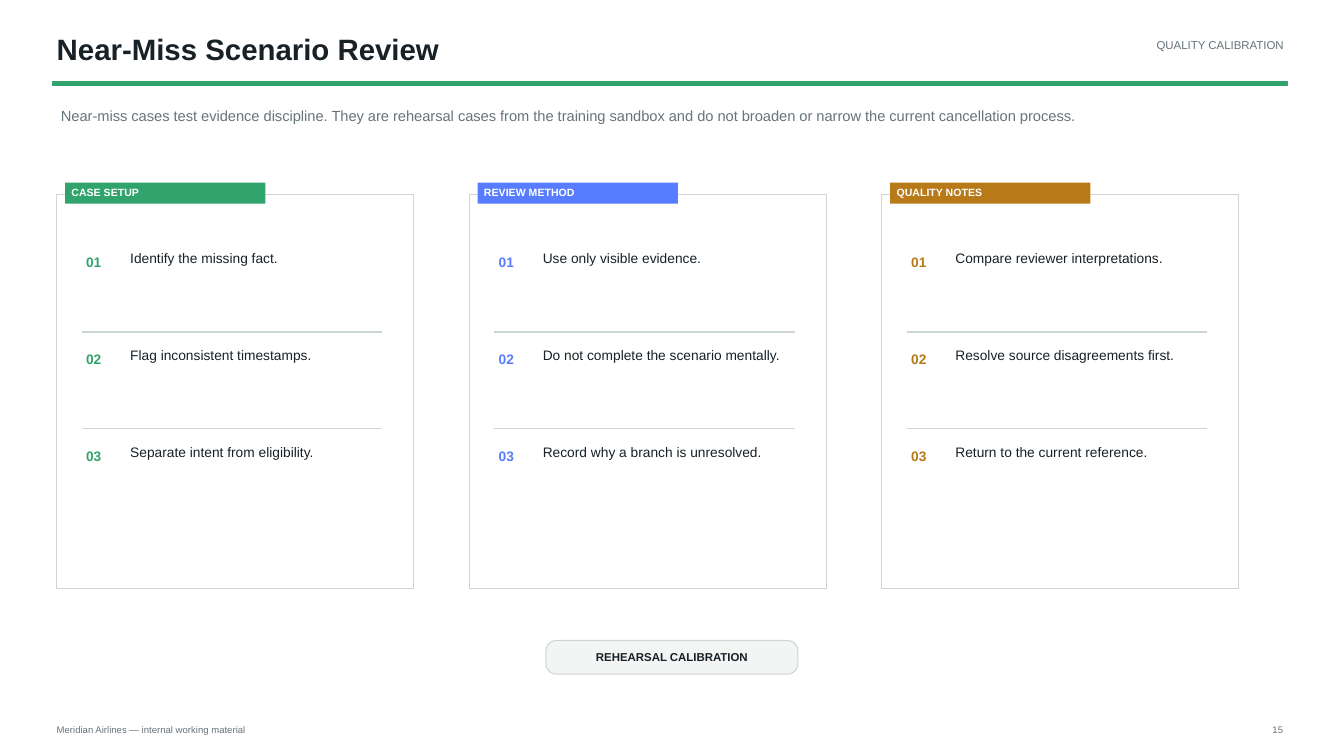
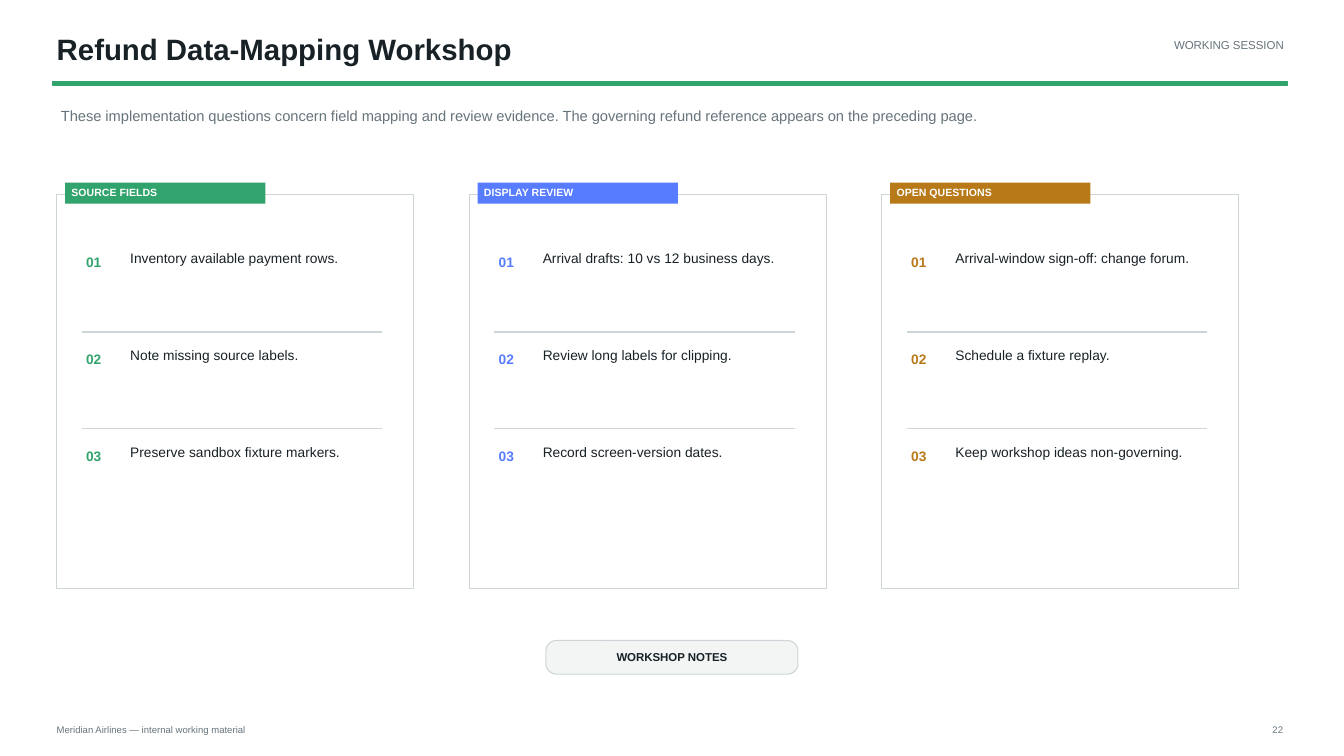
import pptx
import pptx.util
import pptx.dml.color
import pptx.enum.shapes
import pptx.enum.text
import pptx.oxml.ns
import lxml.etree

Pt = pptx.util.Pt
KINDS = pptx.enum.shapes.MSO_SHAPE
ALIGN = pptx.enum.text.PP_ALIGN
ANCHOR = pptx.enum.text.MSO_ANCHOR

FONT = "Arial"
INK, GREY, RULE, PALE, WHITE = "172126", "66747B", "CDD5D8", "F3F5F5", "FFFFFF"
GREEN, BLUE, OCHRE = "31A36C", "577CFF", "B87918"
FOOTER = "Meridian Airlines — internal working material"

EDGE = 37.5
CARD_X, CARD_Y, CARD_W, CARD_H = 40.5, 139, 255, 281.5
CARD_STEP = 294.7
ROW_Y, ROW_STEP = 176.25, 69

SLIDES = [
    {
        "title": "Near-Miss Scenario Review",
        "topic": "QUALITY CALIBRATION",
        "intro": "Near-miss cases test evidence discipline. They are rehearsal cases from the "
                 "training sandbox and do not broaden or narrow the current cancellation process.",
        "cards": [
            ("CASE SETUP", ["Identify the missing fact.",
                            "Flag inconsistent timestamps.",
                            "Separate intent from eligibility."]),
            ("REVIEW METHOD", ["Use only visible evidence.",
                               "Do not complete the scenario mentally.",
                               "Record why a branch is unresolved."]),
            ("QUALITY NOTES", ["Compare reviewer interpretations.",
                               "Resolve source disagreements first.",
                               "Return to the current reference."]),
        ],
        "badge": "REHEARSAL CALIBRATION",
        "page": "15",
    },
    {
        "title": "Refund Data-Mapping Workshop",
        "topic": "WORKING SESSION",
        "intro": "These implementation questions concern field mapping and review evidence. "
                 "The governing refund reference appears on the preceding page.",
        "cards": [
            ("SOURCE FIELDS", ["Inventory available payment rows.",
                               "Note missing source labels.",
                               "Preserve sandbox fixture markers."]),
            ("DISPLAY REVIEW", ["Arrival drafts: 10 vs 12 business days.",
                                "Review long labels for clipping.",
                                "Record screen-version dates."]),
            ("OPEN QUESTIONS", ["Arrival-window sign-off: change forum.",
                                "Schedule a fixture replay.",
                                "Keep workshop ideas non-governing."]),
        ],
        "badge": "WORKSHOP NOTES",
        "page": "22",
    },
]


def color(code):
    return pptx.dml.color.RGBColor.from_string(code)


def write(shape, text, size=9.8, ink=INK, bold=False, align=ALIGN.LEFT,
          anchor=ANCHOR.TOP, space=None, inset=(3, 1.5)):
    """Fill a shape with one formatted paragraph; inset is (sides, top and bottom)."""
    frame = shape.text_frame
    frame.word_wrap = True
    frame.vertical_anchor = anchor
    frame.margin_left = frame.margin_right = Pt(inset[0])
    frame.margin_top = frame.margin_bottom = Pt(inset[1])
    line = frame.paragraphs[0]
    line.alignment = align
    if space:
        line.line_spacing = space
    run = line.add_run()
    run.text = text
    run.font.name = FONT
    run.font.size = Pt(size)
    run.font.bold = bold
    run.font.color.rgb = color(ink)


def label(slide, box, text, **style):
    write(slide.shapes.add_textbox(*map(Pt, box)), text, **style)


def panel(slide, box, fill=None, edge=None, width=0.75, kind=KINDS.RECTANGLE):
    shape = slide.shapes.add_shape(kind, *map(Pt, box))
    shape.shadow.inherit = False
    if fill:
        shape.fill.solid()
        shape.fill.fore_color.rgb = color(fill)
    else:
        shape.fill.background()
    if edge:
        shape.line.color.rgb = color(edge)
        shape.line.width = Pt(width)
    else:
        shape.line.fill.background()
    return shape


def divide(slide, left, top, width):
    line = slide.shapes.add_connector(pptx.enum.shapes.MSO_CONNECTOR.STRAIGHT,
                                      Pt(left), Pt(top), Pt(left + width), Pt(top))
    line.line.color.rgb = color(RULE)
    line.line.width = Pt(1.25)
    props = line._element.spPr
    lxml.etree.SubElement(props, pptx.oxml.ns.qn("a:effectLst"))


def card(slide, left, tint, name, items):
    panel(slide, (left, CARD_Y, CARD_W, CARD_H), edge=RULE)
    tag = panel(slide, (left + 6, 130.5, 143, 15), fill=tint)
    write(tag, name, size=7.5, ink=WHITE, bold=True, inset=(4.5, 2))
    for index, item in enumerate(items):
        top = ROW_Y + index * ROW_STEP
        if index:
            divide(slide, left + 18, top - 8.25, 214.5)
        label(slide, (left + 18, top + 3.75, 25, 21), f"{index + 1:02}", ink=tint, bold=True)
        label(slide, (left + 49.5, top, 183.5, 49.5), item, space=1.08)


def frame(slide, title, topic, page):
    """Draw the header and footer that all slides share."""
    label(slide, (EDGE, 21, 637, 31.5), title, size=21, bold=True)
    label(slide, (677, 26, 243, 22.5), topic, size=8.2, ink=GREY, align=ALIGN.RIGHT)
    panel(slide, (EDGE, 58.5, 882, 2.25), fill=GREEN, edge=GREEN, width=0)
    label(slide, (EDGE, 515.5, 225, 13.5), FOOTER, size=6.8, ink=GREY)
    label(slide, (882, 515.5, 37.5, 13.5), page, size=6.8, ink=GREY, align=ALIGN.RIGHT)


def badge(slide, text):
    pill = panel(slide, (390, 457.5, 180, 24), fill=PALE, edge=RULE,
                 kind=KINDS.ROUNDED_RECTANGLE)
    pill.adjustments[0] = 0.31
    write(pill, text, size=8.2, bold=True, align=ALIGN.CENTER,
          anchor=ANCHOR.MIDDLE, space=0.96, inset=(4.5, 2))


def main():
    deck = pptx.Presentation()
    deck.slide_width, deck.slide_height = Pt(960), Pt(540)
    for data in SLIDES:
        slide = deck.slides.add_slide(deck.slide_layouts[6])
        frame(slide, data["title"], data["topic"], data["page"])
        label(slide, (CARD_X, 75, 840, 31.5), data["intro"], size=10.5, ink=GREY)
        for index, (tint, (name, items)) in enumerate(zip((GREEN, BLUE, OCHRE), data["cards"])):
            card(slide, CARD_X + index * CARD_STEP, tint, name, items)
        badge(slide, data["badge"])
    deck.save("out.pptx")


if __name__ == "__main__":
    main()
